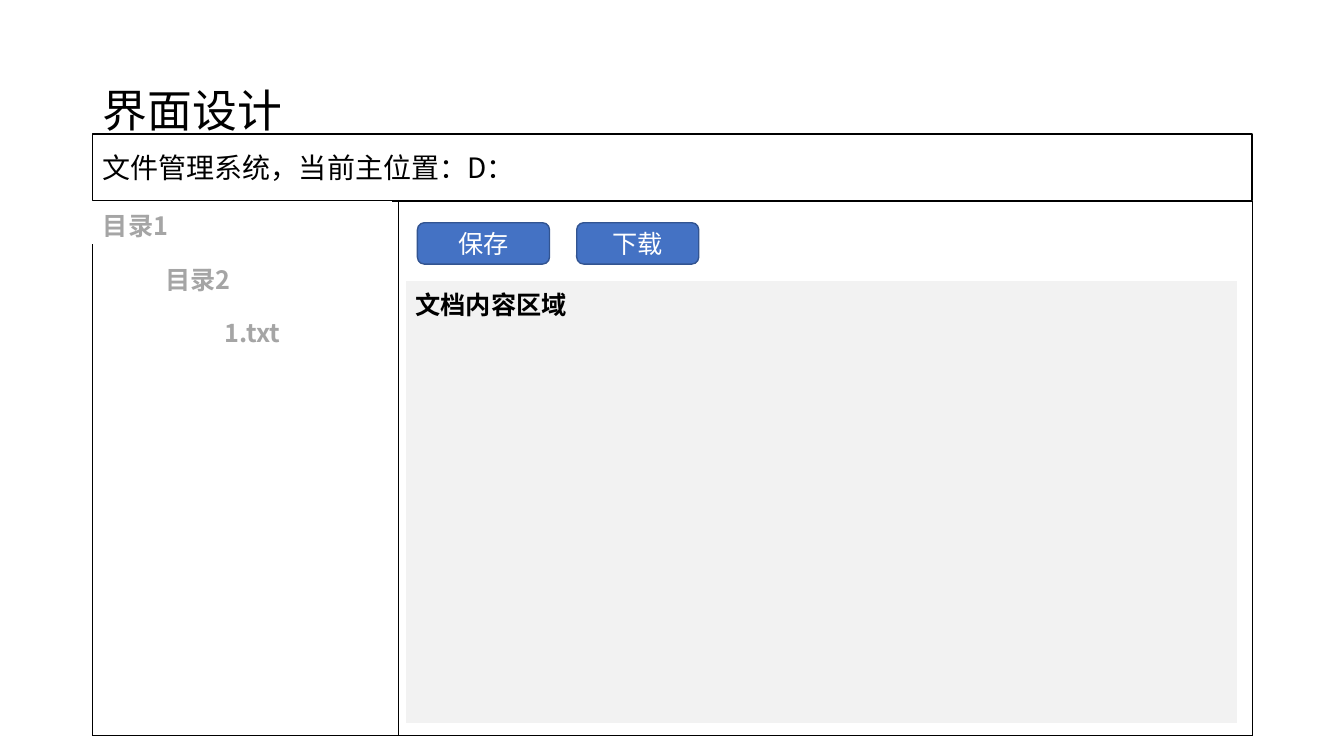
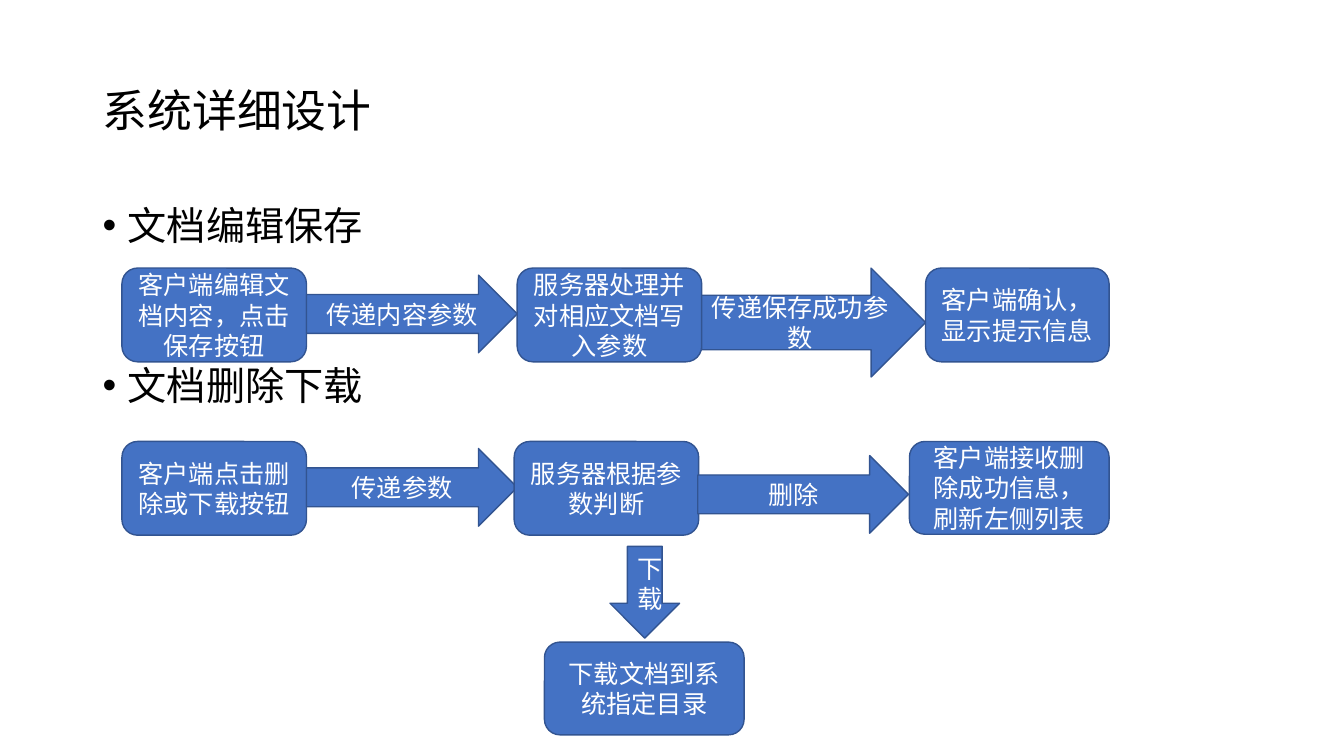
from lxml import etree
from pptx import Presentation
from pptx.dml.color import RGBColor
from pptx.enum.shapes import MSO_SHAPE
from pptx.enum.text import MSO_ANCHOR, PP_ALIGN
from pptx.oxml.ns import qn
from pptx.util import Inches, Pt

BLACK = RGBColor(0x00, 0x00, 0x00)
WHITE = RGBColor(0xFF, 0xFF, 0xFF)
BLUE = RGBColor(0x44, 0x72, 0xC4)
DARK_BLUE = RGBColor(0x32, 0x54, 0x91)
GRAY = RGBColor(0xA5, 0xA5, 0xA5)
PALE_GRAY = RGBColor(0xF2, 0xF2, 0xF2)

FONT = "Noto Sans CJK SC"
BOX = MSO_SHAPE.ROUNDED_RECTANGLE
RIGHT = MSO_SHAPE.RIGHT_ARROW
DOWN = MSO_SHAPE.DOWN_ARROW
RECT = MSO_SHAPE.RECTANGLE
MIDDLE = MSO_ANCHOR.MIDDLE
LEFT = PP_ALIGN.LEFT
CENTER = PP_ALIGN.CENTER

TITLE_BOX = (0.92, 0.4, 11.5, 1.45)
BLACK_EDGES = {edge: (BLACK, 1) for edge in "LRTB"}
WHITE_EDGES = {"L": (WHITE, 1), "R": (WHITE, 1), "T": (WHITE, 1), "B": (WHITE, 3)}


# Shared text and shape helpers
def write(paragraph, text, size, color, **formats):
    run = paragraph.add_run()
    run.text = text
    run.font.color.rgb = color
    for name, value in {"name": FONT, "size": Pt(size), **formats}.items():
        setattr(run.font, name, value)
    east_asian = etree.SubElement(run.font._element, qn("a:ea"))
    east_asian.set("typeface", FONT)


def add_text(slide, box):
    frame = slide.shapes.add_textbox(*map(Inches, box)).text_frame
    frame.word_wrap = True
    return frame


def add_title(slide, text):
    frame = add_text(slide, TITLE_BOX)
    frame.vertical_anchor = MIDDLE
    frame.paragraphs[0].line_spacing = 0.9
    write(frame.paragraphs[0], text, 32, BLACK)


def add_block(slide, kind, text, box, size=18, fill=BLUE, line=DARK_BLUE,
              color=WHITE, align=CENTER):
    block = slide.shapes.add_shape(kind, *map(Inches, box))
    block.shadow.inherit = False
    block.fill.solid()
    block.fill.fore_color.rgb = fill
    block.line.color.rgb = line
    block.line.width = Pt(1)
    block.text_frame.vertical_anchor = MIDDLE
    paragraph = block.text_frame.paragraphs[0]
    paragraph.alignment = align
    write(paragraph, text, size, color)


# Tables with one row
def set_borders(cell, edges):
    properties = cell._tc.get_or_add_tcPr()
    for edge, (color, width) in edges.items():
        line = etree.SubElement(properties, qn(f"a:ln{edge}"), w=str(Pt(width)))
        fill = etree.SubElement(line, qn("a:solidFill"))
        etree.SubElement(fill, qn("a:srgbClr"), val=str(color))


def add_panel(slide, box, edges, columns=None, text="", color=BLACK, fill=None):
    columns = columns or [box[2]]
    table = slide.shapes.add_table(1, len(columns), *map(Inches, box)).table
    table.first_row = table.horz_banding = False
    for column, width in zip(table.columns, columns):
        column.width = Inches(width)
    for cell in table.rows[0].cells:
        set_borders(cell, edges)
        if fill is None:
            cell.fill.background()
        else:
            cell.fill.solid()
            cell.fill.fore_color.rgb = fill
    if text:
        write(table.cell(0, 0).text_frame.paragraphs[0], text, 18, color, bold=True)


# Regions of the file manager window
def add_window(slide, left, top, width, height):
    add_panel(slide, (left, top + 0.67, width, height - 0.67), BLACK_EDGES,
              columns=[3.03, width - 3.03])
    add_block(slide, RECT, "文件管理系统，当前主位置：D：", (left, top, width, 0.66),
              size=20, fill=WHITE, line=BLACK, color=BLACK, align=LEFT)


def add_directory_tree(slide, left, top, width):
    entries = [("目录1", 0, None), ("目录2", 0.62, WHITE), ("1.txt", 1.21, WHITE)]
    for level, (entry, indent, fill) in enumerate(entries):
        add_panel(slide, (left + indent, top + level * 0.53, width - indent, 0.4),
                  WHITE_EDGES, text=entry, color=GRAY, fill=fill)


def add_document_area(slide, left, top, width, height):
    for label, offset, button_width in [("保存", 0.12, 1.31), ("下载", 1.7, 1.21)]:
        add_block(slide, BOX, label, (left + offset, top, button_width, 0.41))
    add_panel(slide, (left, top + 0.57, width, height - 0.57), WHITE_EDGES,
              text="文档内容区域", fill=PALE_GRAY)


# Regions of the process slide
def add_headings(slide, box, headings):
    frame = add_text(slide, box)
    for index, (heading, gap) in enumerate(headings):
        paragraph = frame.add_paragraph() if index else frame.paragraphs[0]
        paragraph.line_spacing = 0.9
        paragraph.space_before = Pt(gap)
        write(paragraph, heading, 28, BLACK)
        properties = paragraph._p.get_or_add_pPr()
        properties.set("marL", str(Inches(0.25)))
        properties.set("indent", str(Inches(-0.25)))
        etree.SubElement(properties, qn("a:buFont"), typeface="Arial")
        etree.SubElement(properties, qn("a:buChar"), char="•")


def add_flow(slide, left, top, steps):
    for kind, text, across, down, width, height in steps:
        add_block(slide, kind, text, (left + across, top + down, width, height))


# Kind, text, offset across and down, width, height
SAVE_STEPS = [
    (BOX, "客户端编辑文档内容，点击保存按钮", 0, 0, 1.83, 0.93),
    (RIGHT, "传递内容参数", 1.83, 0.07, 2.09, 0.77),
    (BOX, "服务器处理并对相应文档写入参数", 3.92, 0, 1.83, 0.93),
    (RIGHT, "传递保存成功参数", 5.75, 0, 2.22, 1.08),
    (BOX, "客户端确认，显示提示信息", 7.97, 0, 1.82, 0.93),
]
DELETE_STEPS = [
    (BOX, "客户端点击删除或下载按钮", 0, 0, 1.83, 0.93),
    (RIGHT, "传递参数", 1.83, 0.07, 2.09, 0.77),
    (BOX, "服务器根据参数判断", 3.89, 0, 1.83, 0.93),
    (RIGHT, "删除", 5.71, 0.14, 2.09, 0.77),
    (BOX, "客户端接收删除成功信息，刷新左侧列表", 7.81, 0, 1.98, 0.92),
    (DOWN, "下载", 4.84, 1.04, 0.69, 0.91),
    (BOX, "下载文档到系统指定目录", 4.19, 1.99, 1.98, 0.92),
]


# Slides
def build_interface_slide(slide):
    add_title(slide, "界面设计")
    add_window(slide, 0.92, 1.33, 11.5, 5.97)
    add_directory_tree(slide, 0.92, 2, 2.96)
    add_document_area(slide, 4.02, 2.21, 8.25, 4.98)


def build_process_slide(slide):
    add_title(slide, "系统详细设计")
    add_headings(slide, (0.92, 2, 11.5, 4.76),
                 [("文档编辑保存", 0), ("文档删除下载", 84)])
    add_flow(slide, 1.21, 2.66, SAVE_STEPS)
    add_flow(slide, 1.21, 4.38, DELETE_STEPS)


presentation = Presentation()
presentation.slide_width = Inches(13.33)
presentation.slide_height = Inches(7.5)
blank = presentation.slide_layouts[6]
for build in (build_interface_slide, build_process_slide):
    build(presentation.slides.add_slide(blank))
presentation.save("out.pptx")
